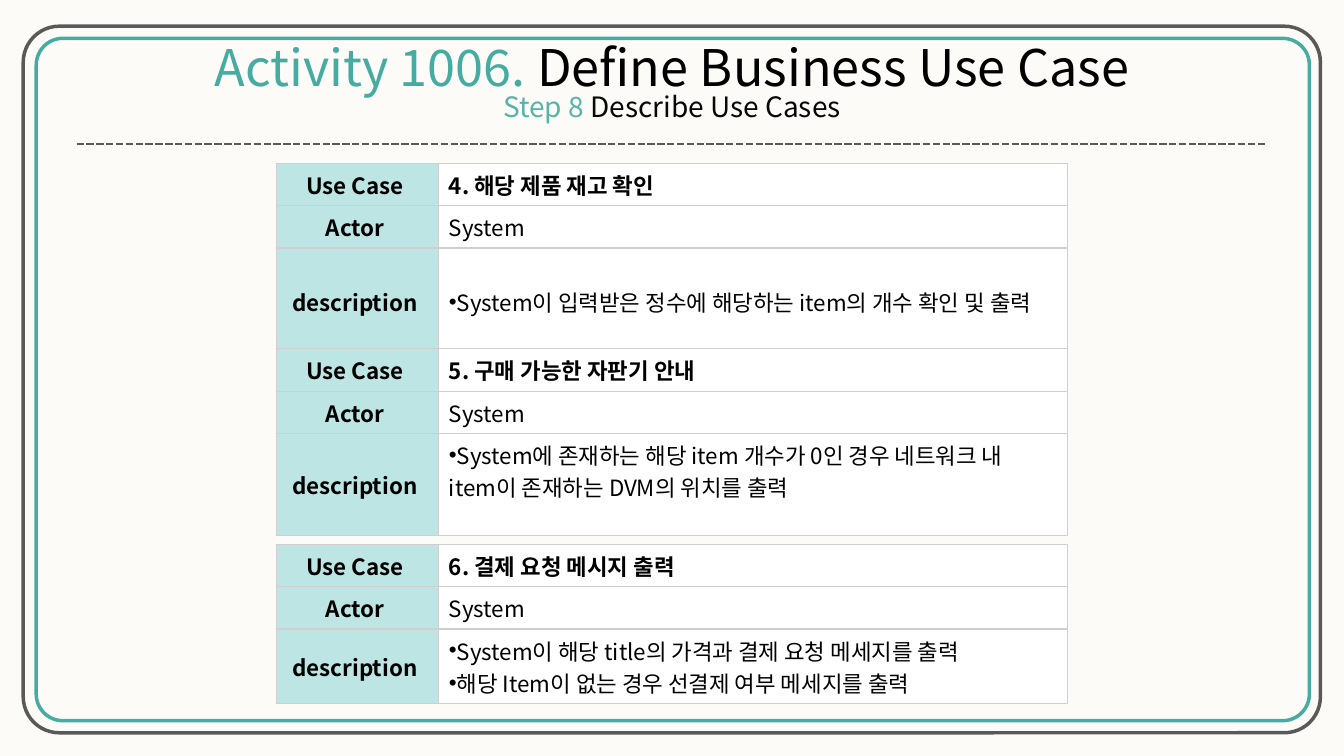
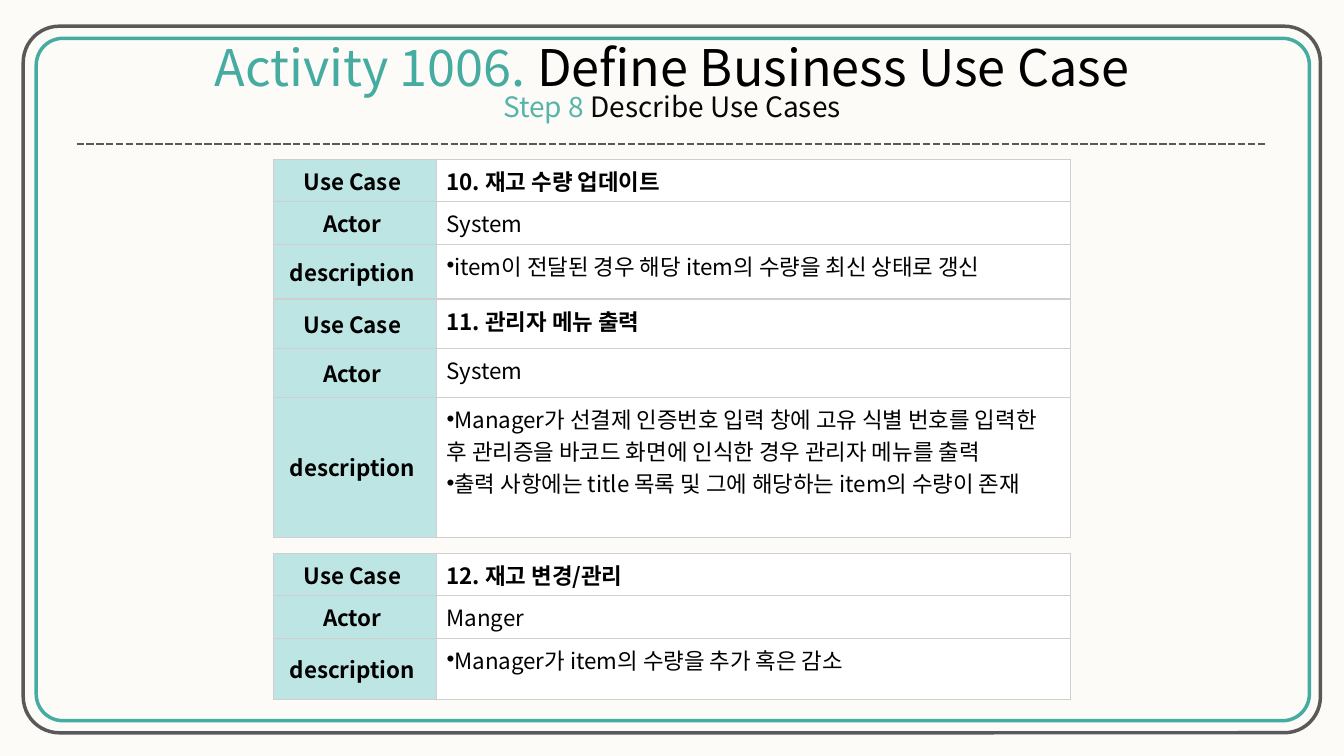
import dataclasses

import lxml.etree
import pptx
import pptx.dml.color
import pptx.enum.dml
import pptx.enum.shapes
import pptx.enum.text
import pptx.oxml.ns
import pptx.util

Pt = pptx.util.Pt
qn = pptx.oxml.ns.qn
ALIGN = pptx.enum.text.PP_ALIGN
ANCHOR = pptx.enum.text.MSO_ANCHOR


@dataclasses.dataclass(frozen=True)
class Theme:
    font: str = "Noto Sans CJK KR"
    back: str = "FCFBF7"
    teal: str = "46ACA1"
    mint: str = "57B4A9"
    gray: str = "595959"
    black: str = "000000"
    ink: str = "080808"
    label: str = "BDE5E3"
    white: str = "FFFFFF"
    grid: str = "D0CECE"
    head: int = 36
    step: int = 20
    cell: int = 16


THEME = Theme()
WIDE, HIGH = 960, 540
HEAD = [
    (THEME.head, 1.0, [("Activity 1006. ", THEME.teal),
                       ("Define Business Use Case", THEME.black)]),
    (THEME.step, 0.75, [("Step 8 ", THEME.mint),
                        ("Describe Use Cases", THEME.ink)]),
]
FRAMES = [
    ((25.9, 27.4, 909.4, 487.4), 0.039, THEME.teal),
    ((16.6, 18.7, 926.6, 504.7), 0.051, THEME.gray),
]
PAGES = [
    ((116, 449), [
        (116.6, (30, 30, 77), 27, "4. 해당 제품 재고 확인", "System",
         ["System이 입력받은 정수에 해당하는 item의 개수 확인 및 출력"]),
        (249.1, (30, 30, 73), 3.6, "5. 구매 가능한 자판기 안내", "System",
         ["System에 존재하는 해당 item 개수가 0인 경우 네트워크 내 "
          "item이 존재하는 DVM의 위치를 출력"]),
        (388.8, (30, 30, 53), 3.6, "6. 결제 요청 메시지 출력", "System",
         ["System이 해당 title의 가격과 결제 요청 메세지를 출력",
          "해당 Item이 없는 경우 선결제 여부 메세지를 출력"]),
    ]),
    ((116.6, 452.9), [
        (113.8, (30, 30, 39), 3.6, "10. 재고 수량 업데이트", "System",
         ["item이 전달된 경우 해당 item의 수량을 최신 상태로 갱신"]),
        (213.8, (35, 35, 100), 3.6, "11. 관리자 메뉴 출력", "System",
         ["Manager가 선결제 인증번호 입력 창에 고유 식별 번호를 입력한 후 "
          "관리증을 바코드 화면에 인식한 경우 관리자 메뉴를 출력",
          "출력 사항에는 title 목록 및 그에 해당하는 item의 수량이 존재"]),
        (395.3, (30, 30, 44), 3.6, "12. 재고 변경/관리", "Manger",
         ["Manager가 item의 수량을 추가 혹은 감소"]),
    ]),
]


def put(item, **vals):
    for key, val in vals.items():
        setattr(item, key, val)


def tint(hue):
    return pptx.dml.color.RGBColor.from_string(hue)


def paint(fill, hue):
    fill.solid()
    fill.fore_color.rgb = tint(hue)


def node(root, tag, **vals):
    return lxml.etree.SubElement(root, qn(tag), vals)


def write(par, text, size, hue, bold=False):
    run = par.add_run()
    run.text = text
    put(run.font, name=THEME.font, size=Pt(size), bold=bold)
    run.font.color.rgb = tint(hue)
    node(run.font._element, "a:ea", typeface=THEME.font)


def dot(par):
    prop = par._p.get_or_add_pPr()
    put(par, alignment=ALIGN.LEFT)
    for key in ("marL", "indent"):
        prop.set(key, "0")
    node(prop, "a:buFont", typeface="Arial")
    node(prop, "a:buChar", char="•")


def edge(cell):
    prop = cell._tc.get_or_add_tcPr()
    for spot, side in enumerate("LRTB"):
        line = node(prop, "a:ln" + side, w=str(Pt(1)))
        node(node(line, "a:solidFill"), "a:srgbClr", val=THEME.grid)
        prop.insert(spot, line)


def fill_cell(cell, lines, label=False, bold=False, list_on=False, top=3.6):
    paint(cell.fill, THEME.label if label else THEME.white)
    edge(cell)
    put(cell, margin_top=Pt(top), margin_right=Pt(11 if label else 10),
        vertical_anchor=ANCHOR.MIDDLE if label else ANCHOR.TOP)
    for spot, text in enumerate(lines):
        frame = cell.text_frame
        par = frame.add_paragraph() if spot else frame.paragraphs[0]
        par.alignment = ALIGN.CENTER if label else ALIGN.LEFT
        if list_on:
            dot(par)
        write(par, text, THEME.cell, THEME.black, bold)


def draw_case(slide, box, cols, rows, pad, name, actor, notes):
    grid = slide.shapes.add_table(3, 2, *map(Pt, box)).table
    put(grid, first_row=False, horz_banding=False)
    for col, width in zip(grid.columns, cols):
        col.width = Pt(width)
    for row, height in zip(grid.rows, rows):
        row.height = Pt(height)
    parts = [
        ("Use Case", [name], {"bold": True}),
        ("Actor", [actor], {}),
        ("description", notes, {"list_on": True, "top": pad}),
    ]
    for spot, (label, lines, form) in enumerate(parts):
        fill_cell(grid.cell(spot, 0), [label], label=True, bold=True)
        fill_cell(grid.cell(spot, 1), lines, **form)


def draw_head(slide, box):
    left, top, width, height = box
    title = slide.shapes.title
    put(title, left=Pt(left), top=Pt(top), width=Pt(width), height=Pt(height))
    frame = title.text_frame
    put(frame, margin_left=0, margin_right=0, margin_top=0, margin_bottom=0,
        vertical_anchor=ANCHOR.TOP, word_wrap=True,
        auto_size=pptx.enum.text.MSO_AUTO_SIZE.NONE)
    for spot, (size, space, runs) in enumerate(HEAD):
        par = frame.add_paragraph() if spot else frame.paragraphs[0]
        put(par, alignment=ALIGN.CENTER, line_spacing=space)
        for text, hue in runs:
            write(par, text, size, hue)
    base = top + height
    rule = slide.shapes.add_connector(
        pptx.enum.shapes.MSO_CONNECTOR.STRAIGHT,
        *map(Pt, (54.7, base, 905, base)))
    put(rule.line, width=Pt(1.75),
        dash_style=pptx.enum.dml.MSO_LINE.SQUARE_DOT)
    rule.line.color.rgb = tint(THEME.gray)
    node(rule._element.spPr, "a:effectLst")


def draw_frame(slide, box, curve, hue):
    ring = slide.shapes.add_shape(
        pptx.enum.shapes.MSO_SHAPE.ROUNDED_RECTANGLE, *map(Pt, box))
    ring.adjustments[0] = curve
    ring.shadow.inherit = False
    ring.fill.background()
    ring.line.width = Pt(2.5)
    ring.line.color.rgb = tint(hue)


def draw_page(deck, cols, cases):
    slide = deck.slides.add_slide(deck.slide_layouts.get_by_name("Title Only"))
    width = sum(cols)
    for top, rows, *rest in cases:
        box = ((WIDE - width) / 2, top, width, sum(rows))
        draw_case(slide, box, cols, rows, *rest)
    for frame in FRAMES:
        draw_frame(slide, *frame)
    draw_head(slide, (145, 26, 670, 77))


def main():
    deck = pptx.Presentation()
    put(deck, slide_width=Pt(WIDE), slide_height=Pt(HIGH))
    paint(deck.slide_master.background.fill, THEME.back)
    for cols, cases in PAGES:
        draw_page(deck, cols, cases)
    deck.save("out.pptx")


if __name__ == "__main__":
    main()
